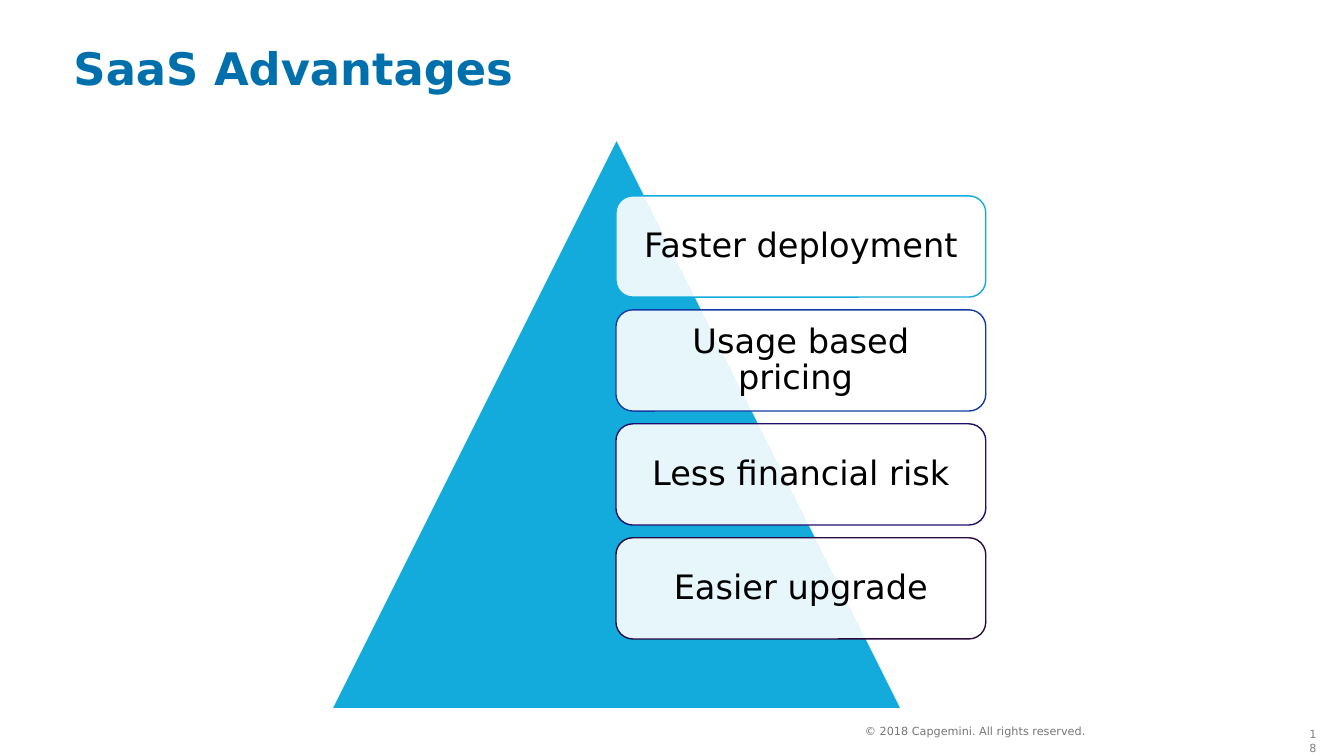
"""Build the SaaS Advantages slide: a triangle with four stacked benefit boxes."""
from lxml import etree
from pptx import Presentation
from pptx.dml.color import RGBColor
from pptx.enum.shapes import MSO_SHAPE
from pptx.enum.text import MSO_ANCHOR, PP_ALIGN
from pptx.oxml.ns import qn
from pptx.util import Pt

TRIANGLE, ROUNDED = MSO_SHAPE.ISOSCELES_TRIANGLE, MSO_SHAPE.ROUNDED_RECTANGLE
TOP, MIDDLE = MSO_ANCHOR.TOP, MSO_ANCHOR.MIDDLE
LEFT, CENTER, RIGHT = PP_ALIGN.LEFT, PP_ALIGN.CENTER, PP_ALIGN.RIGHT
WHITE = RGBColor(0xFF, 0xFF, 0xFF)
BLACK = RGBColor(0x00, 0x00, 0x00)
TITLE_BLUE = RGBColor(0x00, 0x70, 0xAD)
CYAN = RGBColor(0x12, 0xAB, 0xDB)
BLUE = RGBColor(0x12, 0x3C, 0xA4)
INDIGO = RGBColor(0x20, 0x0F, 0x6F)
PLUM = RGBColor(0x2B, 0x0A, 0x3D)
GREY = RGBColor(0x80, 0x80, 0x80)
DARK_GREY = RGBColor(0x76, 0x76, 0x76)
FONT = "DejaVu Sans"


def write(s, text, size, color, align=LEFT, anchor=TOP, inset=(7.2, 3.6), bold=False, wrap=True):
    """Put one formatted paragraph into a shape."""
    tf = s.text_frame
    frame = {"word_wrap": wrap, "vertical_anchor": anchor,
             "margin_left": Pt(inset[0]), "margin_right": Pt(inset[0]),
             "margin_top": Pt(inset[1]), "margin_bottom": Pt(inset[1])}
    for name, value in frame.items():
        setattr(tf, name, value)
    p = tf.paragraphs[0]
    p.alignment = align
    r = p.add_run()
    r.text = text
    for name, value in {"name": FONT, "size": Pt(size), "bold": bold}.items():
        setattr(r.font, name, value)
    r.font.color.rgb = color
    return p


def add_figure(kind, left, top, width, height, fill, line):
    """Add a filled, outlined preset shape without a shadow."""
    s = slide.shapes.add_shape(kind, Pt(left), Pt(top), Pt(width), Pt(height))
    s.shadow.inherit = False
    s.fill.solid()
    s.fill.fore_color.rgb = fill
    s.line.color.rgb = line
    s.line.width = Pt(1)
    return s


prs = Presentation()
prs.slide_width, prs.slide_height = Pt(960), Pt(540)
slide = prs.slides.add_slide(prs.slide_layouts[6])

texts = [
    ((928, 516.2, 19.5, 17.3), dict(text="18", size=8, color=GREY, align=RIGHT)),
    ((617.8, 513.4, 175, 17.3), dict(text="© 2018 Capgemini. All rights reserved.", size=8,
                                     color=DARK_GREY, anchor=MIDDLE, inset=(0, 0), wrap=False)),
    ((45.4, 25.9, 683.3, 46.1), dict(text="SaaS Advantages", size=32, color=TITLE_BLUE, bold=True)),
]
for place, content in texts:
    write(slide.shapes.add_textbox(*map(Pt, place)), **content)

add_figure(TRIANGLE, 237, 99.4, 406.8, 406.8, CYAN, WHITE)

advantages = [
    ("Faster deployment", CYAN),
    ("Usage based pricing ", BLUE),
    ("Less financial risk", INDIGO),
    ("Easier upgrade", PLUM),
]
for i, (text, color) in enumerate(advantages):
    s = add_figure(ROUNDED, 440, 139.9 + 81.4 * i, 264.2, 72.3, WHITE, color)
    fill_color = s.fill._xPr.find(qn("a:solidFill"))[0]
    etree.SubElement(fill_color, qn("a:alpha"), val="90000")
    p = write(s, text, 24, BLACK, CENTER, MIDDLE, (10.8, 10.8))
    p.line_spacing = 0.9

prs.save("out.pptx")
